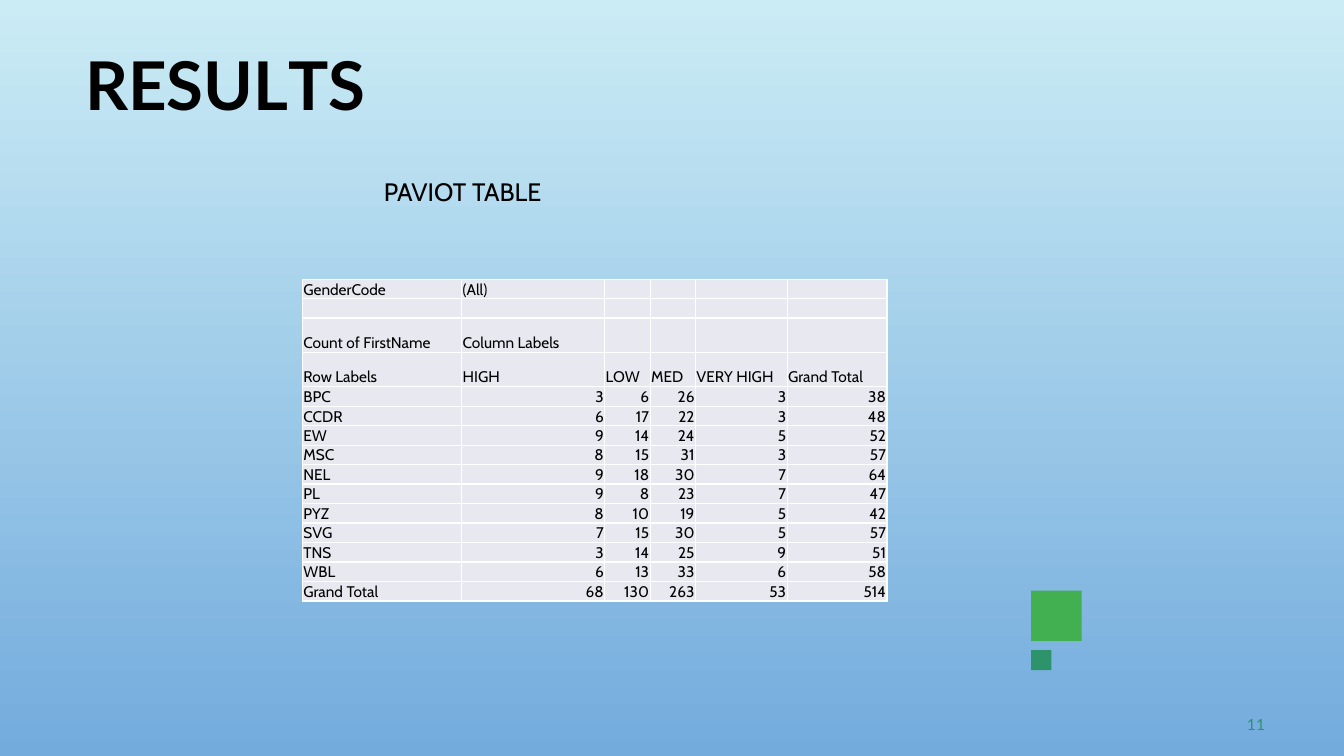
from dataclasses import dataclass

from lxml import etree
from pptx import Presentation
from pptx.dml.color import RGBColor
from pptx.enum.shapes import MSO_SHAPE
from pptx.enum.text import MSO_ANCHOR, MSO_AUTO_SIZE, PP_ALIGN
from pptx.oxml.ns import qn
from pptx.slide import Slide
from pptx.table import _Cell
from pptx.util import Pt

RECTANGLE = MSO_SHAPE.RECTANGLE
BOTTOM = MSO_ANCHOR.BOTTOM
GROW = MSO_AUTO_SIZE.SHAPE_TO_FIT_TEXT
RIGHT = PP_ALIGN.RIGHT

COLORS = {
    "sky_top": "CBECF5",
    "sky_bottom": "73ABDD",
    "green": "42AF51",
    "teal": "2D936B",
    "cell": "E8E9F0",
    "border": "FFFFFF",
    "text": "000000",
}


@dataclass(frozen=True)
class Square:
    left: float
    top: float
    side: float
    color: str


@dataclass(frozen=True)
class Label:
    """Text box; each piece is a text with its letter spacing in points."""
    pieces: tuple[tuple[str, float], ...]
    left: float
    top: float
    width: float
    height: float
    font: str
    size: float
    color: str = "text"
    bold: bool = False
    insets: tuple[float, float] = (0, 0)
    top_inset: float = 0.9
    indent: float = 0
    space_before: float = 0


SQUARES = (
    Square(736.6, 421.9, 36, "green"),
    Square(736.6, 464.4, 14.4, "teal"),
)

LABELS = (
    Label((("R", 0), ("E", -0.4), ("S", 0.1), ("U", -0.3), ("L", -4.1), ("TS", 0)),
          59.8, 30.2, 223.9, 49, "Lato", 48, bold=True, indent=0.9, space_before=1.1),
    Label((("11", 0.1),), 887.8, 509.8, 18, 11.5, "Lato", 11, "teal",
          indent=2.9, space_before=0.5),
    Label((("PAVIOT TABLE", 0),), 267.1, 122.4, 180, 25.2, "Cabin", 18,
          insets=(7.2, 3.6), top_inset=3.6),
)

COLUMN_WIDTHS = (113.8, 102.2, 32.4, 32.4, 65.5, 71.3)
ROW_HEIGHT = 13.9
TALL_ROW_HEIGHT = 24.5
TALL_ROWS = (2, 3)
PIVOT_ROWS = (
    ("GenderCode", "(All)"),
    (),
    ("Count of FirstName", "Column Labels"),
    ("Row Labels", "HIGH", "LOW", "MED", "VERY HIGH", "Grand Total"),
    ("BPC", 3, 6, 26, 3, 38),
    ("CCDR", 6, 17, 22, 3, 48),
    ("EW", 9, 14, 24, 5, 52),
    ("MSC", 8, 15, 31, 3, 57),
    ("NEL", 9, 18, 30, 7, 64),
    ("PL", 9, 8, 23, 7, 47),
    ("PYZ", 8, 10, 19, 5, 42),
    ("SVG", 7, 15, 30, 5, 57),
    ("TNS", 3, 14, 25, 9, 51),
    ("WBL", 6, 13, 33, 6, 58),
    ("Grand Total", 68, 130, 263, 53, 514),
)


def rgb(name: str) -> RGBColor:
    return RGBColor.from_string(COLORS[name])


def paint_background(slide: Slide) -> None:
    fill = slide.background.fill
    fill.gradient()
    fill.gradient_angle = 270
    for stop, name in zip(fill.gradient_stops, ("sky_top", "sky_bottom")):
        stop.color.rgb = rgb(name)


def add_square(slide: Slide, square: Square) -> None:
    shape = slide.shapes.add_shape(
        RECTANGLE, Pt(square.left), Pt(square.top), Pt(square.side), Pt(square.side))
    shape.shadow.inherit = False
    shape.fill.solid()
    shape.fill.fore_color.rgb = rgb(square.color)
    shape.line.fill.background()


def add_label(slide: Slide, label: Label) -> None:
    box = slide.shapes.add_textbox(
        Pt(label.left), Pt(label.top), Pt(label.width), Pt(label.height))
    frame = box.text_frame
    frame.word_wrap = True
    frame.auto_size = GROW
    side, bottom = label.insets
    frame.margin_left = frame.margin_right = Pt(side)
    frame.margin_top, frame.margin_bottom = Pt(label.top_inset), Pt(bottom)
    paragraph = frame.paragraphs[0]
    paragraph.space_before = Pt(label.space_before)
    paragraph._p.get_or_add_pPr().set("marL", str(Pt(label.indent)))
    for text, spacing in label.pieces:
        run = paragraph.add_run()
        run.text = text
        run.font.name = label.font
        run.font.size = Pt(label.size)
        run.font.bold = label.bold
        run.font.color.rgb = rgb(label.color)
        run.font._element.set("spc", str(round(spacing * 100)))


def add_borders(cell: _Cell) -> None:
    properties = cell._tc.get_or_add_tcPr()
    for edge in ("a:lnL", "a:lnR", "a:lnT", "a:lnB"):
        line = etree.SubElement(properties, qn(edge), w=str(Pt(1)))
        fill = etree.SubElement(line, qn("a:solidFill"))
        etree.SubElement(fill, qn("a:srgbClr"), val=COLORS["border"])


def fill_cell(cell: _Cell, value: str | int) -> None:
    """Style a cell; numbers are set to the right."""
    add_borders(cell)
    cell.fill.solid()
    cell.fill.fore_color.rgb = rgb("cell")
    cell.vertical_anchor = BOTTOM
    cell.margin_left = cell.margin_right = cell.margin_top = Pt(0.7)
    cell.margin_bottom = Pt(0)
    paragraph = cell.text_frame.paragraphs[0]
    if value == "":
        etree.SubElement(paragraph._p, qn("a:endParaRPr"), sz="1000")
        return
    paragraph.text = str(value)
    if isinstance(value, int):
        paragraph.alignment = RIGHT
    font = paragraph.runs[0].font
    font.name = "Cabin"
    font.size = Pt(11)
    font.color.rgb = rgb("text")


def add_pivot_table(slide: Slide) -> None:
    heights = [TALL_ROW_HEIGHT if index in TALL_ROWS else ROW_HEIGHT
               for index in range(len(PIVOT_ROWS))]
    table = slide.shapes.add_table(
        len(PIVOT_ROWS), len(COLUMN_WIDTHS), Pt(216), Pt(199.4),
        Pt(sum(COLUMN_WIDTHS)), Pt(sum(heights))).table
    table.first_row = table.horz_banding = False
    for column, width in zip(table.columns, COLUMN_WIDTHS):
        column.width = Pt(width)
    for row, height, values in zip(table.rows, heights, PIVOT_ROWS):
        row.height = Pt(height)
        for index, cell in enumerate(row.cells):
            fill_cell(cell, values[index] if index < len(values) else "")


def main() -> None:
    presentation = Presentation()
    presentation.slide_width, presentation.slide_height = Pt(960), Pt(540)
    slide = presentation.slides.add_slide(presentation.slide_layouts[6])
    paint_background(slide)
    for square in SQUARES:
        add_square(slide, square)
    for label in LABELS:
        add_label(slide, label)
    add_pivot_table(slide)
    presentation.save("out.pptx")


if __name__ == "__main__":
    main()
